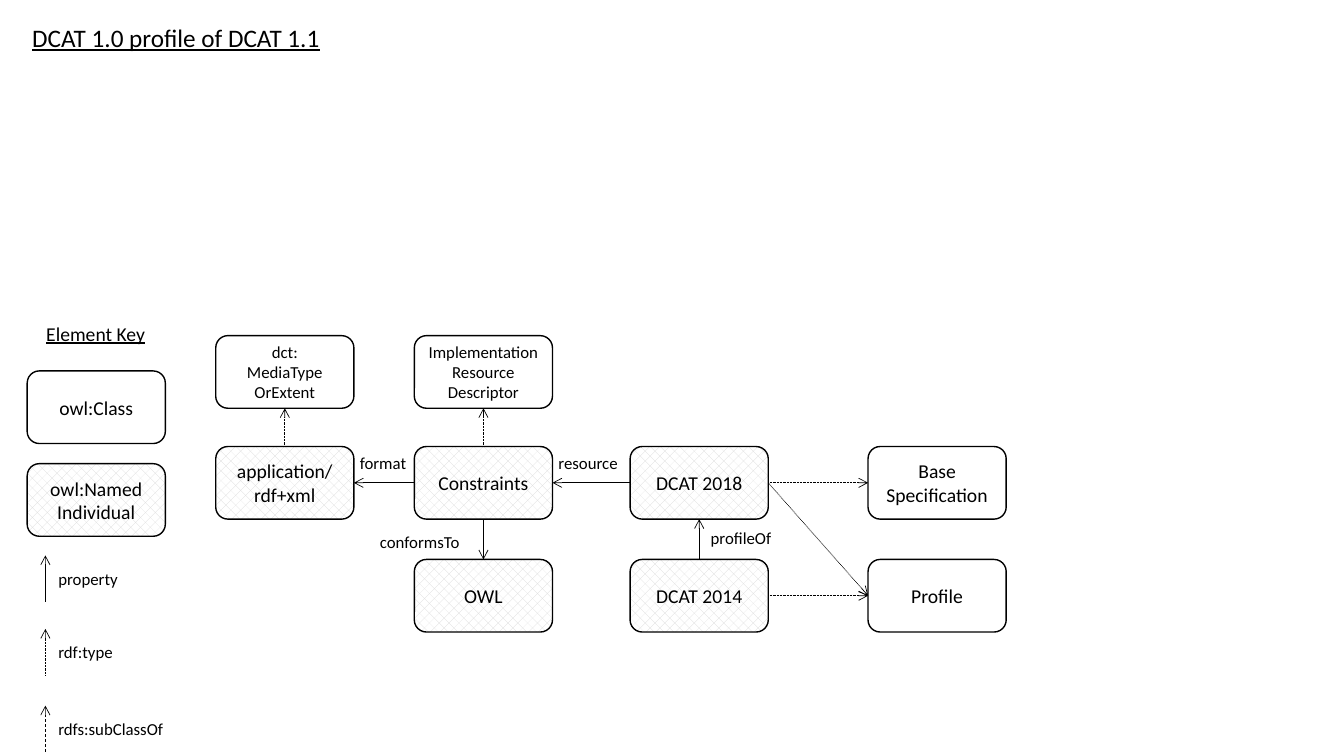
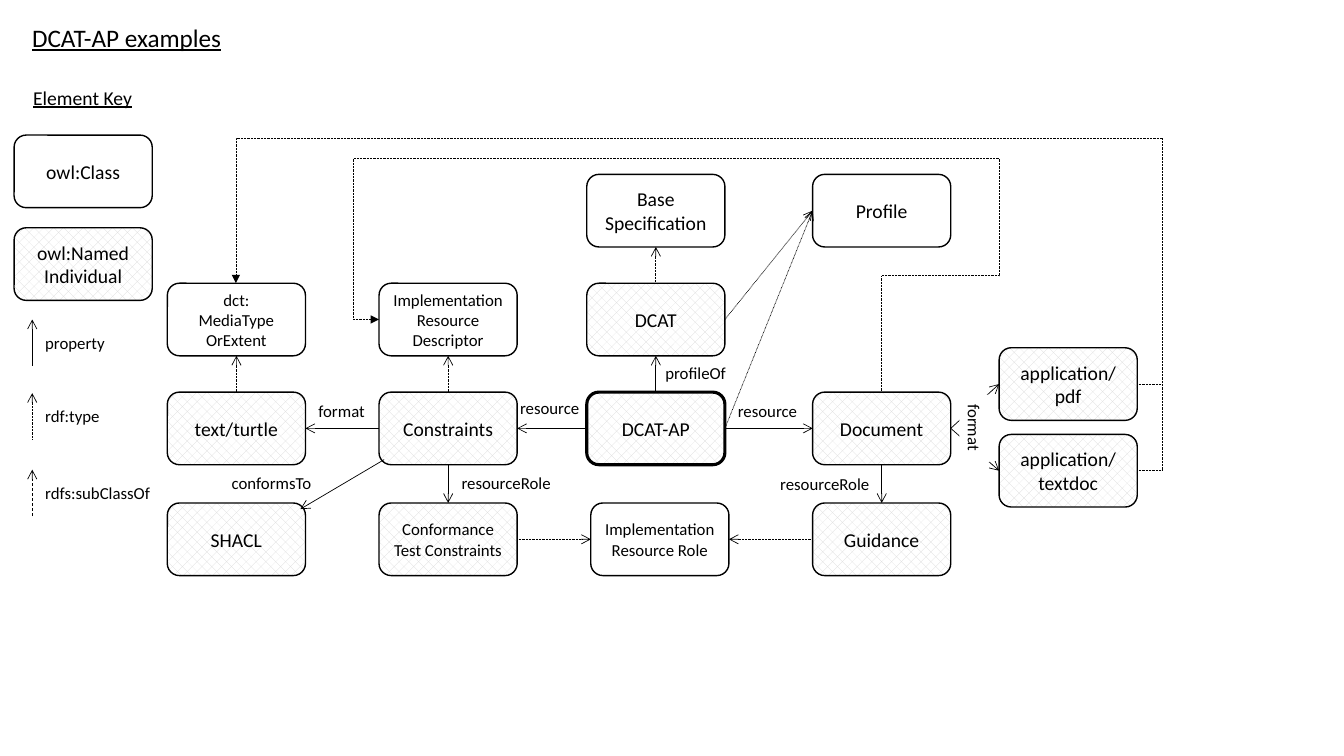
from copy import deepcopy

from pptx import Presentation
from pptx.dml.color import RGBColor
from pptx.enum.dml import MSO_LINE, MSO_PATTERN
from pptx.enum.shapes import MSO_CONNECTOR, MSO_SHAPE
from pptx.enum.text import MSO_ANCHOR, PP_ALIGN
from pptx.oxml.ns import qn
from pptx.oxml.xmlchemy import OxmlElement
from pptx.util import Inches, Pt

STRAIGHT, ELBOW = MSO_CONNECTOR.STRAIGHT, MSO_CONNECTOR.ELBOW
ROUNDED = MSO_SHAPE.ROUNDED_RECTANGLE
PATTERN = MSO_PATTERN.PERCENT_30
DOTTED, DASHED = MSO_LINE.ROUND_DOT, MSO_LINE.DASH
CENTER, MIDDLE = PP_ALIGN.CENTER, MSO_ANCHOR.MIDDLE
TOP, LEFT, BOTTOM, RIGHT = range(4)
INK, PAPER, HATCH = "000000", "FFFFFF", "D9D9D9"
NODE_W, NODE_H = 1.37, 0.72
LABEL_H = 0.3
LABEL_WIDTHS = {"profileOf": 0.81, "resource": 0.8, "format": 0.67, "conformsTo": 1,
                "resourceRole": 1.1, "property": 0.8, "rdf:type": 0.74,
                "rdfs:subClassOf": 1.25}


def color(value):
    """Turn a hex string into a colour."""
    return RGBColor.from_string(value)


def write(frame, text, size, underline=False):
    """Write text into a frame; a vertical tab breaks the line."""
    frame.text = text
    paragraph = frame.paragraphs[0]
    formats = {"name": "Calibri", "size": Pt(size), "underline": underline or None}
    for run in paragraph.runs:
        for key, value in formats.items():
            setattr(run.font, key, value)
        run.font.color.rgb = color(INK)
    for line_break in paragraph._p.findall(qn("a:br")):
        line_break.append(deepcopy(paragraph.runs[0]._r.rPr))
    return paragraph


def add_label(slide, text, left, top, width=None, height=LABEL_H, size=12,
              underline=False):
    """Add one line of free text."""
    width = width or LABEL_WIDTHS[text]
    label = slide.shapes.add_textbox(*map(Inches, (left, top, width, height)))
    label.text_frame.word_wrap = False
    write(label.text_frame, text, size, underline)
    return label


def add_node(slide, text, left, top, individual=False, size=14, weight=1):
    """Add a class box, or a hatched box for a named individual."""
    node = slide.shapes.add_shape(ROUNDED, *map(Inches, (left, top, NODE_W, NODE_H)))
    node.shadow.inherit = False
    if individual:
        node.fill.patterned()
        node.fill.pattern = PATTERN
        node.fill.fore_color.rgb = color(HATCH)
        node.fill.back_color.rgb = color(PAPER)
    else:
        node.fill.background()
    node.line.color.rgb = color(INK)
    node.line.width = Pt(weight)
    node.text_frame.vertical_anchor = MIDDLE
    write(node.text_frame, text, size).alignment = CENTER
    return node


def add_arrow(slide, start, end, dash=None, head="arrow", kind=STRAIGHT):
    """Add a thin line from start to end with an optional arrowhead."""
    arrow = slide.shapes.add_connector(kind, *map(Inches, (*start, *end)))
    arrow.line.color.rgb = color(INK)
    arrow.line.width = Pt(0.5)
    if dash:
        arrow.line.dash_style = dash
    properties = arrow._element.spPr
    if head:
        tip = OxmlElement("a:tailEnd")
        tip.set("type", head)
        properties.find(qn("a:ln")).append(tip)
    properties.append(OxmlElement("a:effectLst"))
    return arrow


def add_elbow(slide, start, end, bends, head=None, turn=0):
    """Add a dotted bent line whose bends are shares of its box."""
    elbow = add_arrow(slide, start, end, DOTTED, head, ELBOW)
    properties = elbow._element.spPr
    properties.find(qn("a:xfrm")).set("rot", str(turn * 60000))
    outline = properties.find(qn("a:prstGeom"))
    outline.set("prst", f"bentConnector{len(bends) + 2}")
    guides = outline.find(qn("a:avLst"))
    for number, bend in enumerate(bends, 1):
        guide = OxmlElement("a:gd")
        guide.set("name", f"adj{number}")
        guide.set("fmla", f"val {round(bend * 100000)}")
        guides.append(guide)


def add_title(slide, text, width):
    """Add the underlined slide title."""
    add_label(slide, text, 0.22, 0.17, width, 0.4, 18, True)


def add_key(slide, left, top):
    """Add the element key below and right of the given corner."""
    add_label(slide, "Element Key", left + 0.09, top, 1.19, 0.34, 14, True)
    add_node(slide, "owl:Class", left, top + 0.54)
    add_node(slide, "owl:Named\vIndividual", left, top + 1.46, True)
    for text, dash, offset in (("property", None, 2.37), ("rdf:type", DOTTED, 3.1),
                               ("rdfs:subClassOf", DASHED, 3.86)):
        x, y = left + 0.18, top + offset
        add_arrow(slide, (x, y + 0.46), (x, y), dash)
        add_label(slide, text, x + 0.03, y + 0.08)


def add_diagram(slide, left, top, nodes, properties, types, labels):
    """Add nodes, glued arrows and labels relative to a corner."""
    placed = {key: add_node(slide, text, left + x, top + y, **style)
              for key, (text, x, y, style) in nodes.items()}
    for links, dash in ((properties, None), (types, DOTTED)):
        for source, exit_side, target, entry_side in links:
            arrow = add_arrow(slide, (left, top), (left, top), dash)
            arrow.begin_connect(placed[source], exit_side)
            arrow.end_connect(placed[target], entry_side)
    for text, x, y in labels:
        add_label(slide, text, left + x, top + y)


def build_profile_slide(slide):
    """Show DCAT 1.0 as a profile of DCAT 1.1."""
    add_title(slide, "DCAT 1.0 profile of DCAT 1.1", 3.09)
    add_key(slide, 0.27, 3.14)
    media, constraints, dcat, classes = 0, 1.97, 4.11, 6.47
    upper, middle, lower = 0, 1.1, 2.22
    nodes = {
        "media": ("dct:\vMediaType\vOrExtent", media, upper, SMALL),
        "descriptor": ("Implementation Resource Descriptor", constraints, upper, SMALL),
        "rdf": ("application/\vrdf+xml", media, middle, INDIVIDUAL),
        "constraints": ("Constraints", constraints, middle, INDIVIDUAL),
        "2018": ("DCAT 2018", dcat, middle, INDIVIDUAL),
        "base": ("Base Specification", classes, middle, {}),
        "owl": ("OWL", constraints, lower, INDIVIDUAL),
        "2014": ("DCAT 2014", dcat, lower, INDIVIDUAL),
        "profile": ("Profile", classes, lower, {}),
    }
    properties = [("2014", TOP, "2018", BOTTOM), ("2018", LEFT, "constraints", RIGHT),
                  ("constraints", LEFT, "rdf", RIGHT),
                  ("constraints", BOTTOM, "owl", TOP)]
    types = [("constraints", TOP, "descriptor", BOTTOM), ("rdf", TOP, "media", BOTTOM),
             ("2018", RIGHT, "base", LEFT), ("2018", RIGHT, "profile", LEFT),
             ("2014", RIGHT, "profile", LEFT)]
    labels = [("profileOf", 4.81, 1.86), ("resource", 3.3, 1.11),
              ("format", 1.33, 1.11), ("conformsTo", 1.53, 1.9)]
    add_diagram(slide, 2.14, 3.33, nodes, properties, types, labels)


def add_outer_links(slide, left, top):
    """Add the links that run around or across the example nodes."""
    def at(x, y):
        return left + x, top + y

    add_arrow(slide, at(2.15, 3.18), at(1.32, 3.67))
    add_elbow(slide, at(9.62, 3.29), at(0.68, 1.43), (-0.028, 1.775), "triangle")
    add_arrow(slide, at(9.62, 2.43), at(9.87, 2.43), DOTTED, None)
    add_elbow(slide, at(8.25, 0.19), at(2.1, 1.79), (1.041,), "triangle")
    add_elbow(slide, at(8.83, 1.94), at(6.51, 0.77), (0.5,), turn=90)
    shared_format = add_label(slide, "format", *at(7.67, 2.72))
    shared_format.rotation = 90
    shared_format.fill.solid()
    shared_format.fill.fore_color.rgb = color(PAPER)


def build_examples_slide(slide):
    """Show the resources of DCAT-AP."""
    add_title(slide, "DCAT-AP examples", 2.1)
    add_key(slide, 0.14, 0.8)
    left, top = 1.66, 1.38
    media, constraints, dcat, document, formats = 0, 2.1, 4.16, 6.4, 8.25
    classes, upper, middle, lower = 0.35, 1.43, 2.51, 3.61
    nodes = {
        "base": ("Base Specification", dcat, classes, {}),
        "profile": ("Profile", document, classes, {}),
        "media": ("dct:\vMediaType\vOrExtent", media, upper, SMALL),
        "descriptor": ("Implementation Resource Descriptor", constraints, upper, SMALL),
        "dcat": ("DCAT", dcat, upper, INDIVIDUAL),
        "turtle": ("text/turtle", media, middle, INDIVIDUAL),
        "constraints": ("Constraints", constraints, middle, INDIVIDUAL),
        "ap": ("DCAT-AP", dcat, middle, INDIVIDUAL | {"weight": 2.25}),
        "document": ("Document", document, middle, INDIVIDUAL),
        "shacl": ("SHACL", media, lower, INDIVIDUAL),
        "tests": ("Conformance Test Constraints", constraints, lower,
                  INDIVIDUAL | SMALL),
        "role": ("Implementation Resource Role", dcat + 0.04, lower, SMALL),
        "guidance": ("Guidance", document, lower, INDIVIDUAL),
        "pdf": ("application/\vpdf", formats, 2.07, INDIVIDUAL),
        "textdoc": ("application/textdoc", formats, 2.93, INDIVIDUAL),
    }
    properties = [("ap", TOP, "dcat", BOTTOM), ("ap", LEFT, "constraints", RIGHT),
                  ("ap", RIGHT, "document", LEFT),
                  ("constraints", LEFT, "turtle", RIGHT),
                  ("constraints", BOTTOM, "tests", TOP),
                  ("document", BOTTOM, "guidance", TOP),
                  ("document", RIGHT, "pdf", LEFT), ("document", RIGHT, "textdoc", LEFT)]
    types = [("constraints", TOP, "descriptor", BOTTOM),
             ("turtle", TOP, "media", BOTTOM), ("dcat", TOP, "base", BOTTOM),
             ("dcat", RIGHT, "profile", LEFT), ("ap", RIGHT, "profile", LEFT),
             ("tests", RIGHT, "role", LEFT), ("guidance", LEFT, "role", RIGHT)]
    labels = [("profileOf", 4.84, 2.17), ("resource", 3.4, 2.52),
              ("resource", 5.56, 2.55), ("format", 1.4, 2.55),
              ("conformsTo", 0.54, 3.26), ("resourceRole", 2.82, 3.26),
              ("resourceRole", 5.98, 3.27)]
    add_diagram(slide, left, top, nodes, properties, types, labels)
    add_outer_links(slide, left, top)


INDIVIDUAL, SMALL = {"individual": True}, {"size": 12}
deck = Presentation()
deck.slide_width, deck.slide_height = Inches(13.33), Inches(7.5)
for build in (build_profile_slide, build_examples_slide):
    build(deck.slides.add_slide(deck.slide_layouts[6]))
deck.save("out.pptx")
